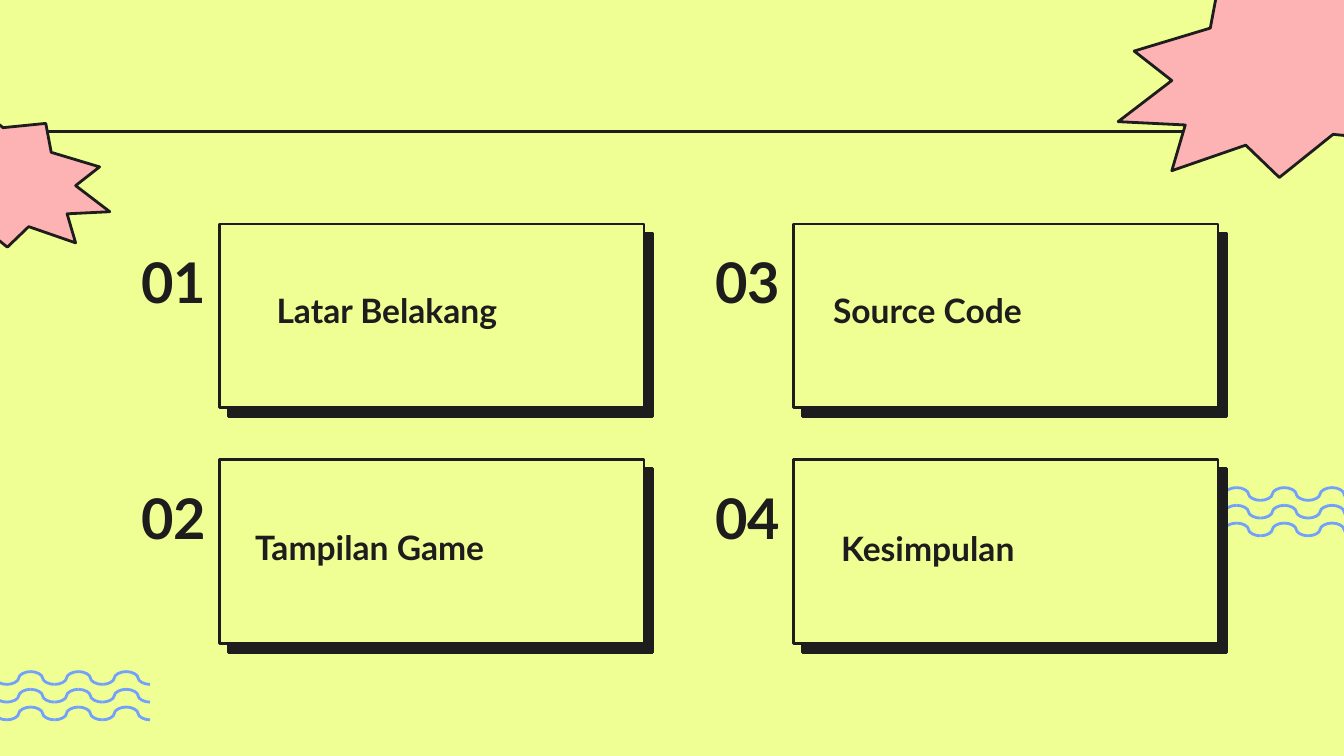
import pptx
import pptx.dml.color
import pptx.enum.shapes
import pptx.enum.text
import pptx.oxml.ns
import pptx.util
from lxml import etree

Pt = pptx.util.Pt
LINK = pptx.enum.shapes.MSO_CONNECTOR
ALIGN = pptx.enum.text.PP_ALIGN

LIME, INK, PINK, BLUE = "EFFF93", "1D1D1D", "FDB3B3", "73A0FD"
CARD_W, CARD_H = 227.5, 98.6
STAR_W = 206
STAR = [
    (119.5, 0), (90, 23.8), (54, 20.2), (49.4, 44.6), (8.6, 56.9),
    (28.8, 72.7), (0, 94.7), (36, 96.5), (28.8, 121), (68.4, 107.3),
    (86.4, 124.6), (115.2, 101.5), (151.2, 105.1), (156.4, 80), (196.6, 68.4),
    (176.4, 52.6), (206, 30.2), (169.2, 28.8), (177.1, 4.5), (136.8, 17.3),
]
# Number, label, and the label's left and top
CARDS = [
    ("01", "Latar Belakang", 141.1, 147.6),
    ("02", "Tampilan Game", 129.6, 274.3),
    ("03", "Source Code", 439.2, 147.6),
    ("04", "Kesimpulan", 443.5, 275),
]


def paint(fmt, color):
    """Give a fill a solid colour."""
    fmt.solid()
    fmt.fore_color.rgb = pptx.dml.color.RGBColor.from_string(color)


def style(shape, color):
    shape.shadow.inherit = False
    paint(shape.fill, color)
    paint(shape.line.fill, INK)
    shape.line.width = Pt(1.5)


def add_line(slide, kind, start, end, color):
    line = slide.shapes.add_connector(
        kind, Pt(start[0]), Pt(start[1]), Pt(end[0]), Pt(end[1]))
    paint(line.line.fill, color)
    line.line.width = Pt(1.5)
    etree.SubElement(line._element.spPr, pptx.oxml.ns.qn("a:effectLst"))


def add_waves(slide, right, top, count):
    """Draw three wavy rows leftwards from a trough at the right end."""
    step, rise, gap = 12.79, 6.9, 9.5
    for row in range(3):
        high = top + row * gap
        for i in range(count):
            low_x = right - (i + i % 2) * step
            peak_x = right - (i + 1 - i % 2) * step
            add_line(slide, LINK.CURVE, (low_x, high + rise), (peak_x, high), BLUE)


def add_star(slide, left, top, scale=1, flip=False):
    points = [(Pt(left + (STAR_W - x if flip else x) * scale), Pt(top + y * scale))
              for x, y in STAR]
    path = slide.shapes.build_freeform(*points[0])
    path.add_line_segments(points[1:], close=True)
    style(path.convert_to_shape(), PINK)


def add_card(slide, left, top):
    for shift, color in ((4.8, INK), (0, LIME)):
        box = slide.shapes.add_shape(
            pptx.enum.shapes.MSO_SHAPE.RECTANGLE, Pt(left + shift),
            Pt(top + shift), Pt(CARD_W), Pt(CARD_H))
        style(box, color)


def add_text(slide, text, area, size, align=ALIGN.LEFT, inset=7.2):
    box = slide.shapes.add_textbox(*map(Pt, area))
    frame = box.text_frame
    frame.word_wrap = True
    frame.vertical_anchor = pptx.enum.text.MSO_ANCHOR.MIDDLE
    frame.margin_left = Pt(inset)
    frame.margin_top = frame.margin_right = frame.margin_bottom = Pt(7.2)
    para = frame.paragraphs[0]
    para.text = text
    para.alignment = align
    para.font.name = "Lato"
    para.font.size = Pt(size)
    para.font.bold = True
    para.font.color.rgb = pptx.dml.color.RGBColor.from_string(INK)


def main():
    deck = pptx.Presentation()
    deck.slide_width, deck.slide_height = Pt(720), Pt(405)
    slide = deck.slides.add_slide(deck.slide_layouts[6])
    paint(slide.background.fill, LIME)

    add_waves(slide, 80.4, 359.8, 7)
    add_line(slide, LINK.STRAIGHT, (-1.4, 70.6), (719.3, 70.6), INK)
    add_star(slide, 599, -29.5)
    add_star(slide, -72, 53.3, 0.635, flip=True)
    add_waves(slide, 726.4, 261.2, 6)

    for i, (number, label, x, y) in enumerate(CARDS):
        col, row = divmod(i, 2)
        left, top = 117.5 + col * 307.5, 120 + row * 126.4
        add_card(slide, left, top)
        add_text(slide, label, (x, y, 203.8, 37.4), 18)
        add_text(slide, number, (left - 68.4, top, 68.4, 61.2), 30,
                 ALIGN.RIGHT, 0)

    deck.save("out.pptx")


if __name__ == "__main__":
    main()
